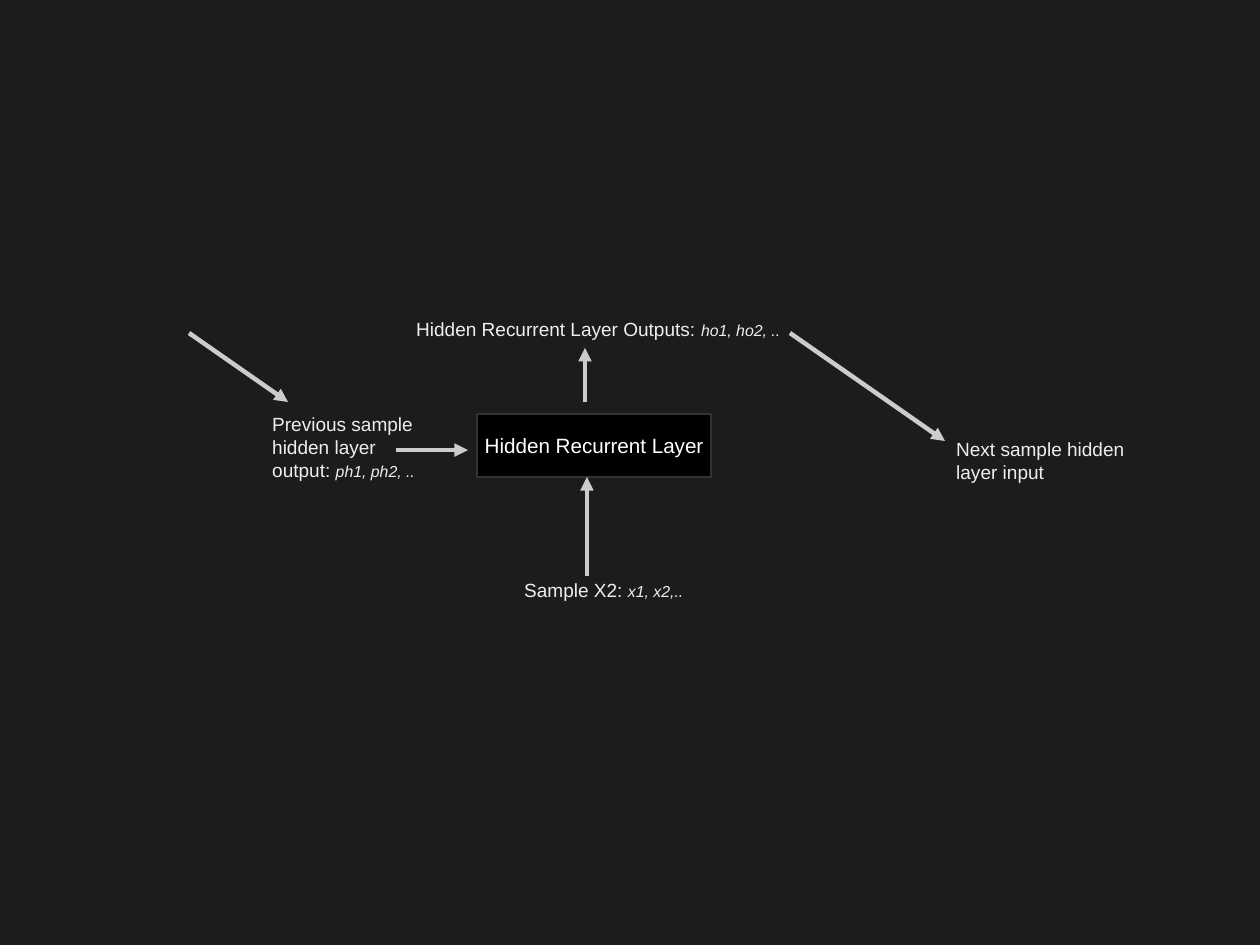
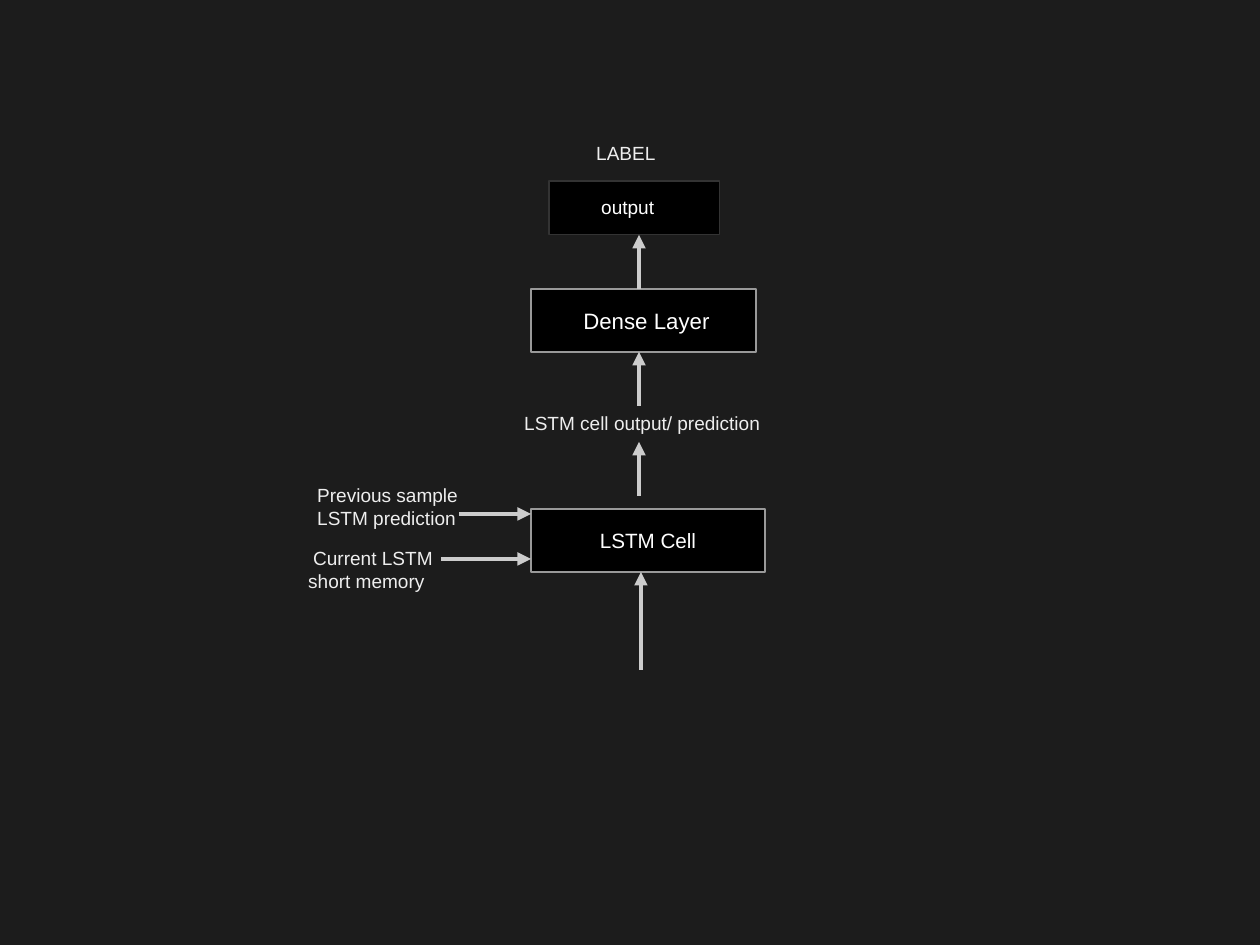
"""Build two dark slides that show the data flow of recurrent network layers."""
from dataclasses import dataclass

from lxml.etree import SubElement
from pptx import Presentation
from pptx.dml.color import RGBColor
from pptx.enum.shapes import MSO_CONNECTOR as Connector, MSO_SHAPE as Shape
from pptx.enum.text import MSO_ANCHOR as Anchor, MSO_AUTO_SIZE as AutoSize, PP_ALIGN as Align
from pptx.oxml.ns import qn
from pptx.slide import Slide
from pptx.text.text import Font, _Paragraph as Paragraph
from pptx.util import Emu, Pt

EMU_PER_PX = 8000
FONT = "Arial"
LABEL_SIZE = 12
DETAIL_SIZE = 10
COLORS = {
    "page": "1C1C1C",
    "box": "000000",
    "box_text": "FFFFFF",
    "dim_edge": "333333",
    "bright_edge": "999999",
    "arrow": "CCCCCC",
    "label": "EEEEEE",
}


@dataclass(frozen=True)
class Box:
    left: int
    top: int
    width: int
    height: int
    edge: str
    text: str = ""
    size: int = 13
    margin: int = 0
    shape: Shape = Shape.FLOWCHART_PROCESS


@dataclass(frozen=True)
class Arrow:
    x1: int
    y1: int
    x2: int
    y2: int


@dataclass(frozen=True)
class Label:
    left: int
    top: int
    width: int
    height: int
    text: str
    detail: str = ""
    color: str = "label"
    indent: int = 0


@dataclass(frozen=True)
class Diagram:
    boxes: list[Box]
    arrows: list[Arrow]
    labels: list[Label]


def px(*lengths: int) -> list[Emu]:
    return [Emu(length * EMU_PER_PX) for length in lengths]


def rgb(name: str) -> RGBColor:
    return RGBColor.from_string(COLORS[name])


def style_font(font: Font, color: str) -> None:
    font.name = FONT
    font.color.rgb = rgb(color)


def set_indent(para: Paragraph, attribute: str, length: int) -> None:
    if length:
        para._p.get_or_add_pPr().set(attribute, str(length * EMU_PER_PX))


def draw_box(page: Slide, box: Box) -> None:
    shape = page.shapes.add_shape(box.shape, *px(box.left, box.top, box.width, box.height))
    shape.shadow.inherit = False
    shape.fill.solid()
    shape.fill.fore_color.rgb = rgb("box")
    shape.line.color.rgb = rgb(box.edge)
    shape.line.width = Pt(0)
    if not box.text:
        return
    frame = shape.text_frame
    frame.word_wrap = False
    frame.vertical_anchor = Anchor.MIDDLE
    para = frame.paragraphs[0]
    para.alignment = Align.CENTER
    set_indent(para, "marL", box.margin)
    para.add_run().text = box.text
    style_font(para.font, "box_text")
    para.font.size = Pt(box.size)


def draw_arrow(page: Slide, arrow: Arrow) -> None:
    line = page.shapes.add_connector(
        Connector.STRAIGHT, *px(arrow.x1, arrow.y1, arrow.x2, arrow.y2))
    line.line.color.rgb = rgb("arrow")
    line.line.width = Pt(2.83)
    SubElement(line.line._get_or_add_ln(), qn("a:tailEnd"), type="triangle")
    SubElement(line._element.spPr, qn("a:effectLst"))


def draw_label(page: Slide, label: Label) -> None:
    frame = page.shapes.add_textbox(
        *px(label.left, label.top, label.width, label.height)).text_frame
    frame.word_wrap = True
    frame.auto_size = AutoSize.SHAPE_TO_FIT_TEXT
    para = frame.paragraphs[0]
    set_indent(para, "indent", label.indent)
    para.add_run().text = label.text
    style_font(para.font, label.color)
    para.font.size = Pt(LABEL_SIZE)
    if label.detail:
        span = para.add_run()
        span.text = label.detail
        span.font.size = Pt(DETAIL_SIZE)
        span.font.italic = True


RECURRENT_LAYER = Diagram(
    boxes=[Box(477, 414, 234, 63, "dim_edge", "Hidden Recurrent Layer")],
    arrows=[
        Arrow(396, 450, 468, 450),
        Arrow(587, 576, 587, 477),
        Arrow(585, 402, 585, 348),
        Arrow(189, 333, 288, 402),
        Arrow(790, 333, 945, 441),
    ],
    labels=[
        Label(261, 407, 179, 75, "Previous sample hidden layer output: ", "ph1, ph2, .."),
        Label(405, 312, 414, 75, "Hidden Recurrent Layer Outputs: ", "ho1, ho2, .."),
        Label(513, 573, 207, 75, "Sample X2: ", "x1, x2,.."),
        Label(945, 432, 198, 75, "Next sample hidden layer input"),
    ],
)

LSTM_CELL = Diagram(
    boxes=[
        Box(549, 181, 171, 54, "dim_edge", shape=Shape.RECTANGLE),
        Box(531, 289, 225, 63, "bright_edge", "Dense Layer", 14, margin=6),
        Box(531, 509, 234, 63, "bright_edge", "LSTM Cell"),
    ],
    arrows=[
        Arrow(459, 514, 531, 514),
        Arrow(441, 559, 531, 559),
        Arrow(641, 670, 641, 572),
        *(Arrow(639, tip + 54, 639, tip) for tip in (442, 352, 235)),
    ],
    labels=[
        Label(585, 136, 99, 35, "LABEL"),
        Label(590, 190, 174, 35, "output", color="box_text"),
        Label(513, 406, 279, 35, "LSTM cell output/ prediction"),
        Label(306, 478, 179, 54, "Previous sample LSTM prediction"),
        Label(297, 541, 179, 54, "Current LSTM short memory", indent=5),
    ],
)


def draw_diagram(page: Slide, diagram: Diagram) -> None:
    for box in diagram.boxes:
        draw_box(page, box)
    for arrow in diagram.arrows:
        draw_arrow(page, arrow)
    for label in diagram.labels:
        draw_label(page, label)


def main() -> None:
    deck = Presentation()
    deck.slide_width, deck.slide_height = px(1260, 945)
    background = deck.slide_master.background.fill
    background.solid()
    background.fore_color.rgb = rgb("page")
    for diagram in (RECURRENT_LAYER, LSTM_CELL):
        draw_diagram(deck.slides.add_slide(deck.slide_layouts[6]), diagram)
    deck.save("out.pptx")


if __name__ == "__main__":
    main()
